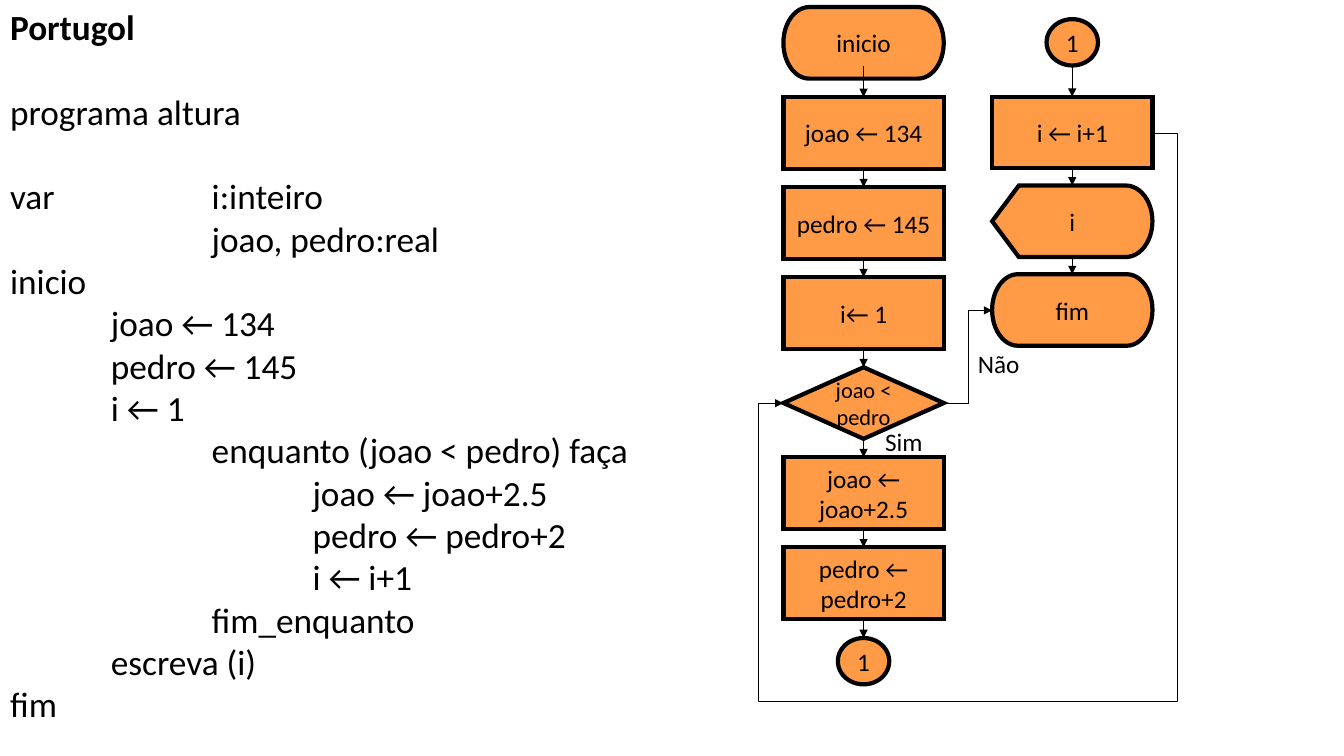
from lxml import etree
from pptx import Presentation
from pptx.dml.color import RGBColor
from pptx.enum.shapes import MSO_CONNECTOR, MSO_SHAPE
from pptx.enum.text import MSO_ANCHOR, MSO_AUTO_SIZE, PP_ALIGN
from pptx.oxml.ns import qn
from pptx.util import Inches, Pt

TERM = MSO_SHAPE.FLOWCHART_TERMINATOR
STEP = MSO_SHAPE.FLOWCHART_PROCESS
TEST = MSO_SHAPE.FLOWCHART_DECISION
SHOW = MSO_SHAPE.FLOWCHART_DISPLAY
JOIN = MSO_SHAPE.FLOWCHART_CONNECTOR
LINE, ELBOW = MSO_CONNECTOR.STRAIGHT, MSO_CONNECTOR.ELBOW
LEFT, MID = PP_ALIGN.LEFT, PP_ALIGN.CENTER
TOP, CENTER = MSO_ANCHOR.TOP, MSO_ANCHOR.MIDDLE
FIXED = MSO_AUTO_SIZE.NONE

ORANGE, BLACK = "FF9A47", "000000"
WIDE, HIGH = 1.59, 0.71
DOT_W, DOT_H = 0.51, 0.46
COL_A, COL_B = 7.77, 9.84
PITCH = 30.25

STEPS_A = [
    (TERM, "inicio", 18),
    (STEP, "joao ← 134", 18),
    (STEP, "pedro ← 145", 18),
    (STEP, "i← 1", 18),
    (TEST, "joao < pedro", 16),
    (STEP, "joao ← joao+2.5", 18),
    (STEP, "pedro ← pedro+2", 18),
]
STEPS_B = [(STEP, "i ← i+1", 18), (SHOW, "i", 18), (TERM, "fim", 18)]

CODE = [
    ("Portugol", 0),
    ("programa altura", 1),
    ("var\t\ti:inteiro", 1),
    ("\t\tjoao, pedro:real", 0),
    ("inicio", 0),
    ("\tjoao ← 134", 0),
    ("\tpedro ← 145", 0),
    ("\ti ← 1", 0),
    ("\t\tenquanto (joao < pedro) faça", 0),
    ("\t\t\tjoao ← joao+2.5", 0),
    ("\t\t\tpedro ← pedro+2", 0),
    ("\t\t\ti ← i+1", 0),
    ("\t\tfim_enquanto", 0),
    ("\tescreva (i)", 0),
    ("fim", 0),
]


def paint(hue):
    """Turn a hex string into a colour."""
    return RGBColor.from_string(hue)


def apply(obj, form):
    """Set each attribute named in a dict."""
    for name, value in form.items():
        setattr(obj, name, value)


def write(para, text, size, align, bold=False):
    """Put one formatted run into a paragraph."""
    para.alignment = align
    run = para.add_run()
    run.text = text
    apply(run.font, {"name": "Calibri", "size": Pt(size), "bold": bold})
    run.font.color.rgb = paint(BLACK)


def add_code(slide):
    """List the program in the title placeholder."""
    title = slide.shapes.title
    apply(title, {"left": 0, "top": 0, "width": Inches(6.49),
                  "height": Inches(7.5)})
    frame = title.text_frame
    apply(frame, {"word_wrap": True, "auto_size": FIXED,
                  "vertical_anchor": TOP, "margin_top": Inches(0.05)})
    for row, (text, gap) in enumerate(CODE):
        para = frame.add_paragraph() if row else frame.paragraphs[0]
        apply(para, {"line_spacing": Pt(PITCH),
                     "space_before": Pt(gap * PITCH)})
        write(para, text, 25.2, LEFT, row == 0)
        para._p.get_or_add_pPr().set("defTabSz", str(Inches(1)))


def add_node(slide, kind, text, size, left, top, wide=WIDE, high=HIGH):
    """Draw one flowchart symbol."""
    node = slide.shapes.add_shape(kind, Inches(left), Inches(top),
                                  Inches(wide), Inches(high))
    node.shadow.inherit = False
    node.fill.solid()
    node.fill.fore_color.rgb = paint(ORANGE)
    node.line.color.rgb = paint(BLACK)
    node.line.width = Pt(3)
    edge = node._element.spPr.find(qn("a:ln"))
    etree.SubElement(edge, qn("a:miter")).set("lim", "800000")
    frame = node.text_frame
    apply(frame, {"word_wrap": True, "vertical_anchor": CENTER})
    write(frame.paragraphs[0], text, size, MID)


def add_dot(slide, left, top):
    """Draw a jump mark centred on a column."""
    add_node(slide, JOIN, "1", 18, left + (WIDE - DOT_W) / 2, top,
             DOT_W, DOT_H)


def add_arrow(slide, kind, start, end):
    """Draw a thin arrow between two points."""
    ends = [Inches(num) for num in start + end]
    arrow = slide.shapes.add_connector(kind, *ends)
    arrow.line.color.rgb = paint(BLACK)
    arrow.line.width = Pt(0.5)
    props = arrow._element.spPr
    tip = etree.SubElement(props.find(qn("a:ln")), qn("a:tailEnd"))
    tip.set("type", "triangle")
    etree.SubElement(props, qn("a:effectLst"))
    return arrow


def add_loop(slide, start, end):
    """Draw the five-part arrow that closes the loop."""
    arrow = add_arrow(slide, ELBOW, start, end)
    geom = arrow._element.spPr.find(qn("a:prstGeom"))
    geom.set("prst", "bentConnector5")
    guides = geom.find(qn("a:avLst"))
    for num, value in enumerate((-6800, 210300, 106800), 1):
        guide = etree.SubElement(guides, qn("a:gd"))
        guide.set("name", f"adj{num}")
        guide.set("fmla", f"val {value}")


def add_drops(slide, left, starts, ends):
    """Link the symbols of a column downwards."""
    mid = left + WIDE / 2
    for start, end in zip(starts, ends):
        add_arrow(slide, LINE, (mid, start), (mid, end))


def add_label(slide, text, left, top, wide):
    """Name one branch of the test."""
    box = slide.shapes.add_textbox(Inches(left), Inches(top),
                                   Inches(wide), Inches(0.4))
    box.text_frame.word_wrap = False
    write(box.text_frame.paragraphs[0], text, 18, LEFT)


def main():
    """Build the slide and save it."""
    deck = Presentation()
    apply(deck, {"slide_width": Inches(13.33), "slide_height": Inches(7.5)})
    slide = deck.slides.add_slide(deck.slide_layouts[5])
    add_code(slide)

    tops_a = [0.07 + 5.36 / 6 * row for row in range(len(STEPS_A))]
    tops_b = [0.96 + 0.88 * row for row in range(len(STEPS_B))]
    for left, tops, steps in ((COL_A, tops_a, STEPS_A),
                              (COL_B, tops_b, STEPS_B)):
        for top, step in zip(tops, steps):
            add_node(slide, *step, left, top)
    add_dot(slide, COL_A, 6.33)
    add_dot(slide, COL_B, 0.19)

    lows_a = [0.65] + [top + HIGH for top in tops_a[1:]]
    lows_b = [0.65] + [top + HIGH for top in tops_b]
    add_drops(slide, COL_A, lows_a, tops_a[1:] + [6.33])
    add_drops(slide, COL_B, lows_b, tops_b)
    add_arrow(slide, ELBOW, (COL_A + WIDE, 4), (COL_B, 3.08))
    add_loop(slide, (COL_B + WIDE, 1.32), (COL_A, 4))

    add_label(slide, "Sim", 8.68, 4.18, 0.58)
    add_label(slide, "Não", 9.6, 3.41, 0.62)
    deck.save("out.pptx")


main()
